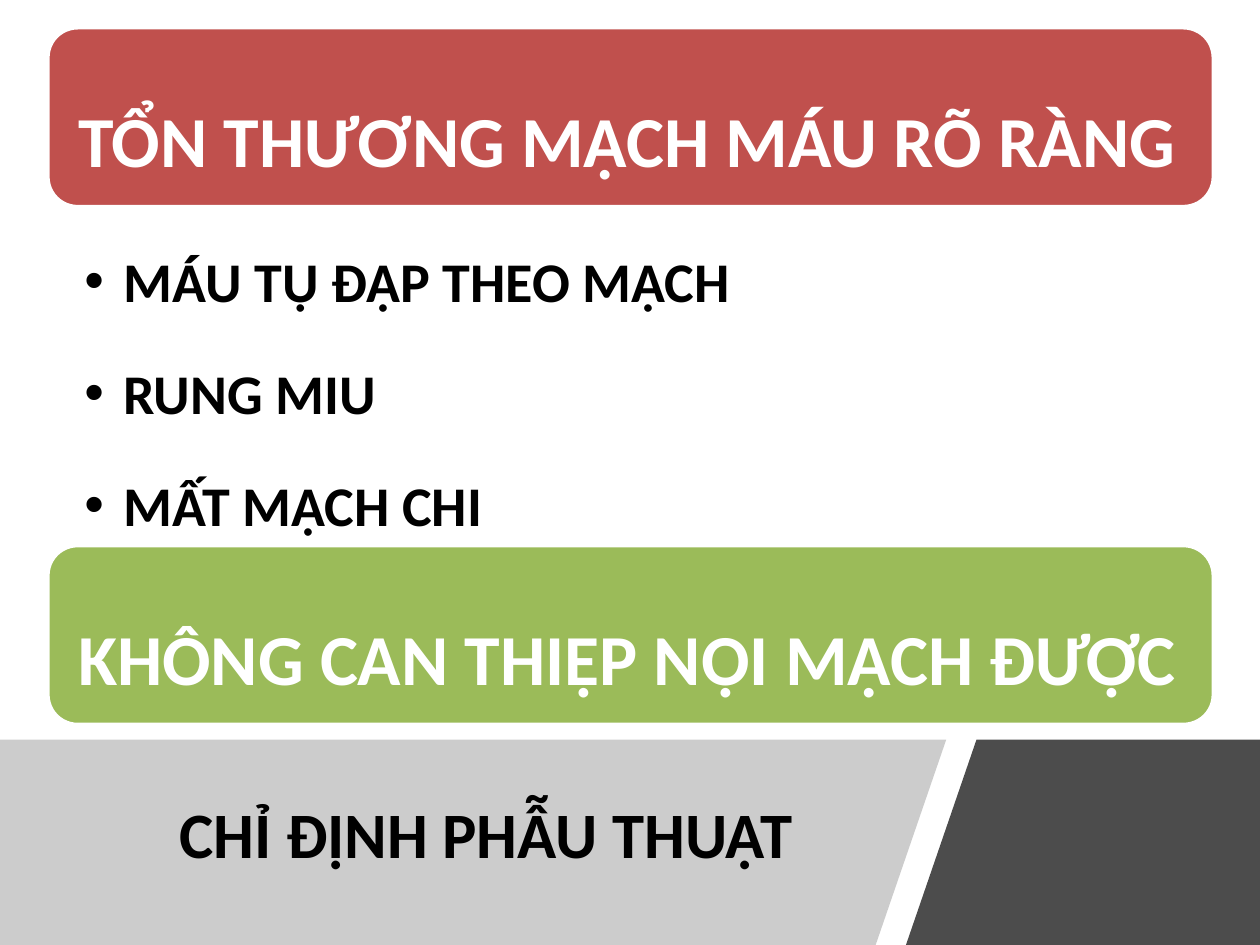
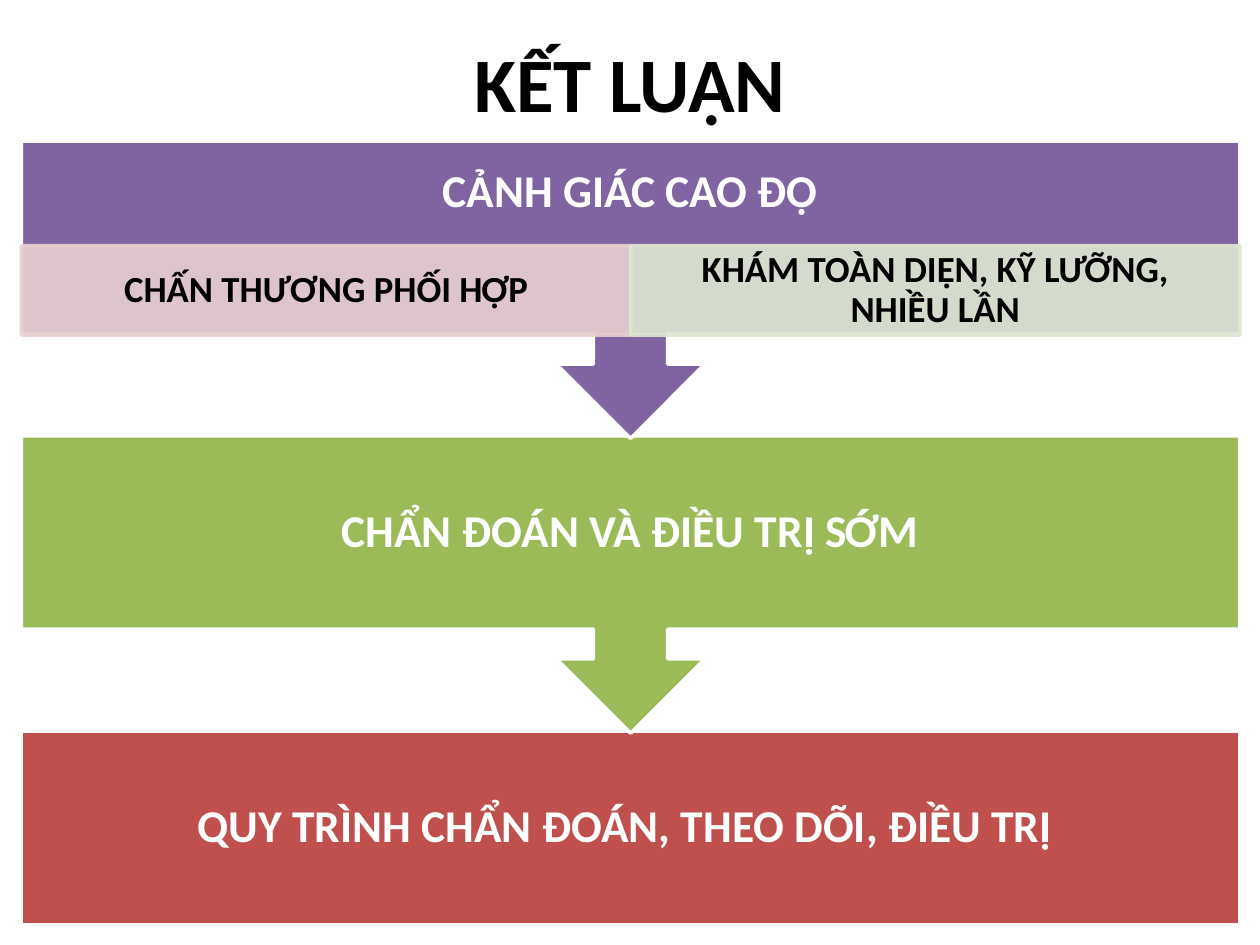
from pptx import Presentation
from pptx.dml.color import RGBColor
from pptx.enum.shapes import MSO_SHAPE
from pptx.enum.text import MSO_ANCHOR, PP_ALIGN
from pptx.oxml.ns import qn
from pptx.util import Inches, Pt
from lxml.etree import SubElement

THEME = {
    "font": "Calibri",
    "white": "FFFFFF", "black": "000000", "gray": "808080",
    "red": "C0504D", "green": "9BBB59", "violet": "8064A2",
    "pink": "E8D0D0", "mint": "DEE7D1",
    "title": 44, "foot": 37, "band": 41, "list": 32, "step": 26, "half": 21,
}

# Slide 1
FOOT = "CHỈ ĐỊNH PHẪU THUẬT"
BANDS = [
    ("TỔN THƯƠNG MẠCH MÁU RÕ RÀNG", "red", 0.22),
    ("KHÔNG CAN THIỆP NỘI MẠCH ĐƯỢC", "green", 4.33),
]
SIGNS = ["MÁU TỤ ĐẬP THEO MẠCH", "RUNG MIU", "MẤT MẠCH CHI"]
PANELS = [
    ([(0, 5.87), (7.51, 5.87), (6.95, 7.5), (0, 7.5)], "gray", 40),
    ([(7.75, 5.87), (10, 5.87), (10, 7.5), (7.19, 7.5)], "black", 70),
]

# Slide 2
TITLE = "KẾT LUẬN"
STEPS = [
    ("CẢNH GIÁC CAO ĐỘ", "violet"),
    ("CHẨN ĐOÁN VÀ ĐIỀU TRỊ SỚM", "green"),
    ("QUY TRÌNH CHẨN ĐOÁN, THEO DÕI, ĐIỀU TRỊ ", "red"),
]
HALVES = [
    ("CHẤN THƯƠNG PHỐI HỢP", "pink"),
    ("KHÁM TOÀN DIỆN, KỸ LƯỠNG, NHIỀU LẦN", "mint"),
]
LEFT, WIDE = 0.17, 9.67
TOP, PITCH = 1.12, 2.34
BOX, CALL = 1.54, 2.36
HALF = 0.71


def rgb(name):
    return RGBColor.from_string(THEME[name])


def paint(fill, name, alpha=100):
    fill.solid()
    fill.fore_color.rgb = rgb(name)
    if alpha < 100:
        tint = fill._xPr.find(qn("a:solidFill"))[0]
        SubElement(tint, qn("a:alpha"), val=str(alpha * 1000))


def bullet(para, indent):
    props = para._p.get_or_add_pPr()
    props.set("marL", str(Inches(indent)))
    props.set("indent", str(-Inches(indent)))
    SubElement(props, qn("a:buFont"), typeface="Arial")
    SubElement(props, qn("a:buChar"), char="•")


def write(shape, lines, size, color="black", inset=(0.1, 0.05, 0.1, 0.05),
          align=PP_ALIGN.CENTER, anchor=MSO_ANCHOR.MIDDLE,
          space=0.9, after=0, indent=0):
    """Fill a shape with paragraphs; after is a share of the type size."""
    frame = shape.text_frame
    sides = ("margin_left", "margin_top", "margin_right", "margin_bottom")
    look = dict(zip(sides, map(Inches, inset)))
    look.update(word_wrap=True, vertical_anchor=anchor)
    for key, val in look.items():
        setattr(frame, key, val)
    points = THEME[size]
    for i, line in enumerate(lines):
        para = frame.add_paragraph() if i else frame.paragraphs[0]
        if indent:
            bullet(para, indent)
        style = {"alignment": align, "line_spacing": space,
                 "space_after": Pt(round(points * after, 1))}
        for key, val in style.items():
            setattr(para, key, val)
        run = para.add_run()
        run.text = line
        face = {"name": THEME["font"], "size": Pt(points), "bold": True}
        for key, val in face.items():
            setattr(run.font, key, val)
        run.font.color.rgb = rgb(color)


def label(slide, area, lines, size, **style):
    write(slide.shapes.add_textbox(*map(Inches, area)), lines, size, **style)


def block(slide, kind, area, fill, line="white", alpha=100):
    shape = slide.shapes.add_shape(kind, *map(Inches, area))
    shape.shadow.inherit = False
    paint(shape.fill, fill, alpha)
    shape.line.width = Pt(2)
    paint(shape.line.fill, line, alpha)
    return shape


def panel(slide, spots, fill, alpha):
    spots = [(Inches(x), Inches(y)) for x, y in spots]
    draft = slide.shapes.build_freeform(*spots[0], scale=1.0)
    draft.add_line_segments(spots[1:], close=True)
    shape = draft.convert_to_shape()
    shape.shadow.inherit = False
    paint(shape.fill, fill, alpha)
    shape.line.fill.background()


def surgery(slide):
    for spots, fill, alpha in PANELS:
        panel(slide, spots, fill, alpha)
    label(slide, (0.69, 6.05, 6.33, 1.2), [FOOT], "foot")
    for text, fill, top in BANDS:
        band = block(slide, MSO_SHAPE.ROUNDED_RECTANGLE,
                     (0.38, top, 9.25, 1.42), fill)
        write(band, [text], "band", "white", (0.17,) * 4,
              align=PP_ALIGN.LEFT, space=1.5, after=0.35)
    label(slide, (0.38, 1.63, 9.25, 2.69), SIGNS, "list",
          inset=(0.29, 0.06, 0.32, 0.06), align=PP_ALIGN.LEFT,
          anchor=MSO_ANCHOR.TOP, space=1.5, after=0.2, indent=0.31)


def summary(slide):
    label(slide, (0.5, 0.17, 9, 0.95), [TITLE], "title", space=1.0)
    last = len(STEPS) - 1
    for i, (text, fill) in reversed(list(enumerate(STEPS))):
        kind, tall = MSO_SHAPE.DOWN_ARROW_CALLOUT, CALL
        if i == last:
            kind, tall = MSO_SHAPE.RECTANGLE, BOX
        step = block(slide, kind, (LEFT, TOP + i * PITCH, WIDE, tall), fill)
        base = 0.2 if i else 0.2 + HALF
        write(step, [text], "step", "white", (0.2, 0.2, 0.2, base), after=0.35)
    width = WIDE / len(HALVES)
    for i, (text, fill) in enumerate(HALVES):
        area = (LEFT + i * width, TOP + BOX - HALF, width, HALF)
        half = block(slide, MSO_SHAPE.RECTANGLE, area, fill, fill, 90)
        write(half, [text], "half", inset=(0.16, 0.03, 0.16, 0.03), after=0.35)


def main():
    deck = Presentation()
    deck.slide_width, deck.slide_height = Inches(10), Inches(7.5)
    for build in (surgery, summary):
        build(deck.slides.add_slide(deck.slide_layouts[6]))
    deck.save("out.pptx")


if __name__ == "__main__":
    main()
